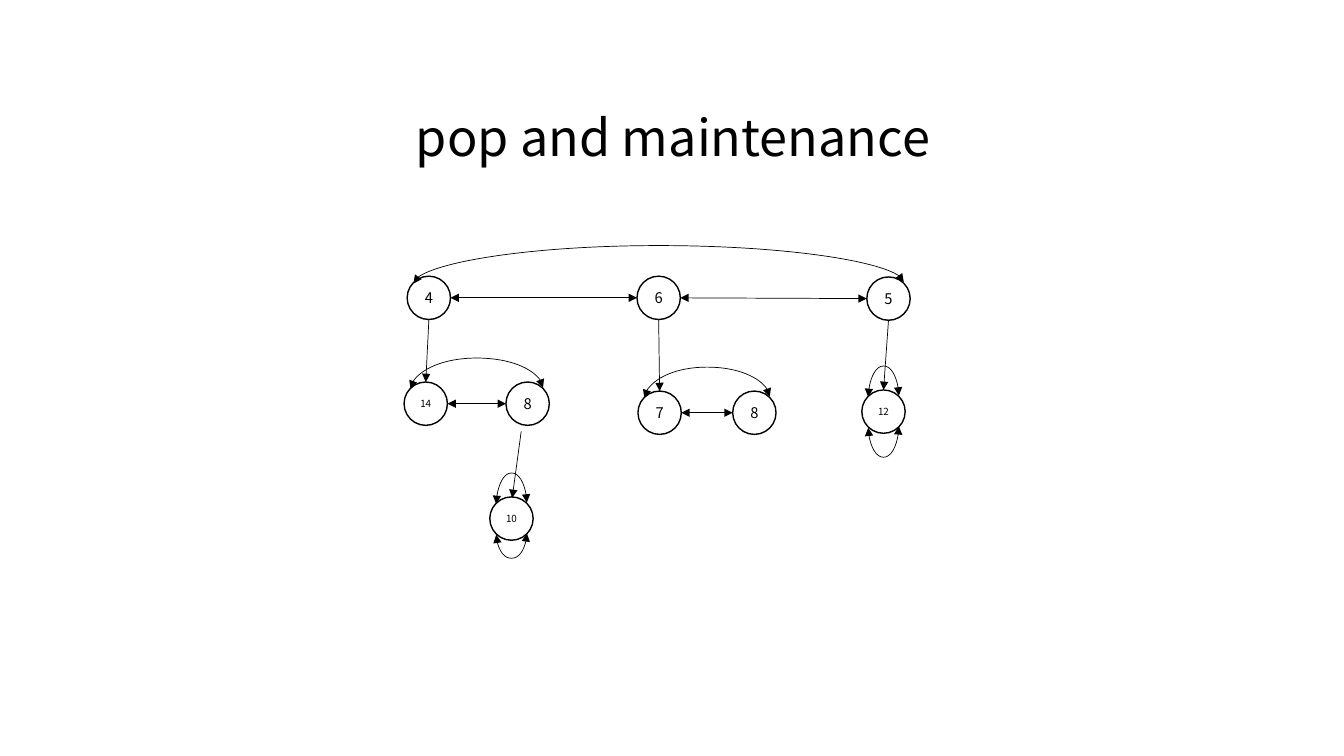
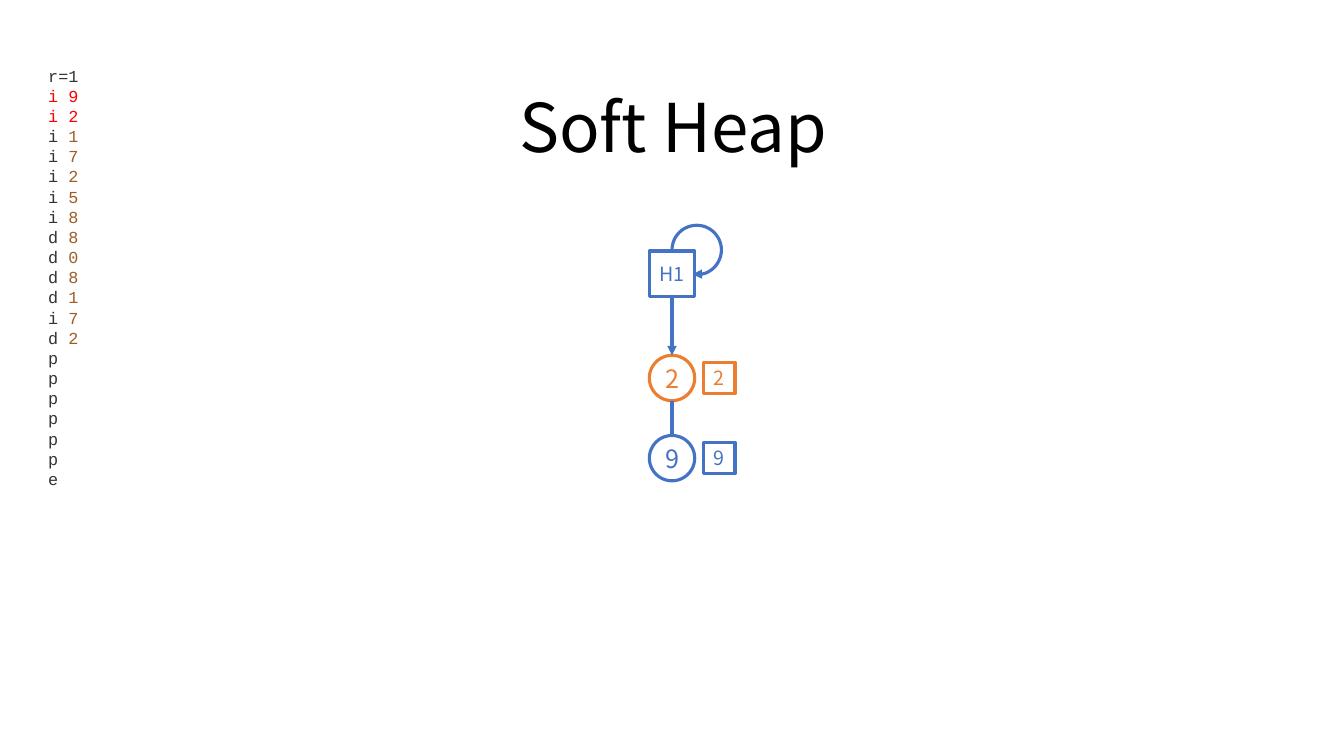
import math

from lxml import etree
from pptx import Presentation, util as u
from pptx.dml.color import RGBColor
from pptx.enum import shapes, text
from pptx.oxml.ns import qn

BLACK = RGBColor(0x00, 0x00, 0x00)
WHITE = RGBColor(0xFF, 0xFF, 0xFF)
BLUE = RGBColor(0x44, 0x72, 0xC4)
ORANGE = RGBColor(0xED, 0x7D, 0x31)
RED = RGBColor(0xFF, 0x00, 0x00)
GREY = RGBColor(0x33, 0x33, 0x33)
BROWN = RGBColor(0x9C, 0x5D, 0x27)
SANS, MONO = "Noto Sans CJK SC", "Courier New"
ROUND, SQUARE = shapes.MSO_SHAPE.OVAL, shapes.MSO_SHAPE.RECTANGLE
NODE = shapes.MSO_SHAPE.FLOWCHART_CONNECTOR
STRAIGHT, CURVE = shapes.MSO_CONNECTOR.STRAIGHT, shapes.MSO_CONNECTOR.CURVE

presentation = Presentation()
presentation.slide_width, presentation.slide_height = u.Inches(13.33), u.Inches(7.5)
# One percent of the slide's width and height
COLUMN = presentation.slide_width / 100
ROW = presentation.slide_height / 100


def add_box(slide, kind, center, size, label, points, colour, line_width, fill=None):
    """Draw an outlined, labelled shape around a center point."""
    side = u.Inches(size)
    shape = slide.shapes.add_shape(
        kind, int(center[0] - side / 2), int(center[1] - side / 2), side, side)
    shape.shadow.inherit = False
    if fill is None:
        shape.fill.background()
    else:
        shape.fill.solid()
        shape.fill.fore_color.rgb = fill
    shape.line.color.rgb = colour
    shape.line.width = u.Pt(line_width)
    frame = shape.text_frame
    frame.margin_left = frame.margin_right = frame.margin_top = frame.margin_bottom = 0
    frame.word_wrap = False
    frame.vertical_anchor = text.MSO_ANCHOR.MIDDLE
    paragraph = frame.paragraphs[0]
    paragraph.text = label
    paragraph.alignment = text.PP_ALIGN.CENTER
    paragraph.font.name, paragraph.font.size = SANS, u.Pt(points)
    paragraph.font.color.rgb = colour
    return shape


def add_line(slide, kind, begin, end, colour, line_width, arrows=("tailEnd",)):
    """Draw a connector between two points, with the named arrowheads."""
    connector = slide.shapes.add_connector(kind, *(int(v) for v in (*begin, *end)))
    connector.line.color.rgb = colour
    connector.line.width = u.Pt(line_width)
    for arrow in arrows:
        etree.SubElement(connector.line._get_or_add_ln(), qn("a:" + arrow), type="triangle")
    etree.SubElement(connector._element.spPr, qn("a:effectLst"))
    return connector


# Slides and their titles
slides = []
for title_text, title_size in (("pop and maintenance", 36), ("Soft Heap", 48)):
    slide = presentation.slides.add_slide(presentation.slide_layouts[5])
    title = slide.shapes.title
    title.left, title.top = u.Inches(3.69), u.Inches(0.72)
    title.width, title.height = u.Inches(5.97), u.Inches(0.99)
    title.text_frame.word_wrap = True
    title.text_frame.auto_size = text.MSO_AUTO_SIZE.NONE
    title.text_frame.vertical_anchor = text.MSO_ANCHOR.BOTTOM
    paragraph = title.text_frame.paragraphs[0]
    paragraph.text = title_text
    paragraph.alignment = text.PP_ALIGN.CENTER
    paragraph.line_spacing = 0.9
    paragraph.font.name, paragraph.font.size = SANS, u.Pt(title_size)
    paragraph.font.color.rgb = BLACK
    slides.append(slide)
pop_slide, heap_slide = slides

# Heap nodes: name, label, column, row
NODE_SIZE = 0.43
centers, nodes = {}, {}
for name, label, column, row in (
    ("root 4", "4", 31.91, 39.4),
    ("root 6", "6", 49.01, 39.4),
    ("root 5", "5", 66.11, 39.5),
    ("child 14", "14", 31.68, 53.4),
    ("child 8", "8", 39.26, 53.4),
    ("child 7", "7", 49.08, 54.6),
    ("sibling 8", "8", 56.13, 54.6),
    ("child 12", "12", 65.74, 54.45),
    ("child 10", "10", 38.06, 68.6),
):
    centers[name] = (column * COLUMN, row * ROW)
    nodes[name] = add_box(pop_slide, NODE, centers[name], NODE_SIZE, label,
                          10.5 if len(label) == 1 else 7, BLACK, 1, WHITE)

# Links between nodes; sites run anticlockwise from the top in steps of 45 degrees
TOP, TOP_LEFT, LEFT, BOTTOM_LEFT, BOTTOM, BOTTOM_RIGHT, RIGHT, TOP_RIGHT = range(8)
SIBLINGS, PARENT = (RIGHT, LEFT), (BOTTOM, TOP)
OVER, UNDER = (TOP_LEFT, TOP_RIGHT), (BOTTOM_RIGHT, BOTTOM_LEFT)
CURVE_WIDTH = u.Pt(1)
for begin_name, end_name, sites, bulge in (
    ("root 4", "root 6", SIBLINGS, 0),
    ("root 6", "root 5", SIBLINGS, 0),
    ("child 14", "child 8", SIBLINGS, 0),
    ("child 7", "sibling 8", SIBLINGS, 0),
    ("root 4", "child 14", PARENT, 0),
    ("root 6", "child 7", PARENT, 0),
    ("root 5", "child 12", PARENT, 0),
    ("root 4", "root 5", OVER, 0.38),
    ("child 14", "child 8", OVER, 0.31),
    ("child 7", "sibling 8", OVER, 0.31),
    ("child 12", "child 12", OVER, 0.31),
    ("child 12", "child 12", UNDER, 0.31),
    ("child 10", "child 10", OVER, 0.31),
    ("child 10", "child 10", UNDER, 0.25),
):
    ends = []
    for name, site in zip((begin_name, end_name), sites):
        angle = math.radians(-90 - 45 * site)
        radius = u.Inches(NODE_SIZE / 2)
        ends.append((centers[name][0] + radius * math.cos(angle),
                     centers[name][1] + radius * math.sin(angle)))
    begin, end = ends
    arrows = ("tailEnd",) if sites == PARENT else ("headEnd", "tailEnd")
    connector = add_line(pop_slide, CURVE if bulge else STRAIGHT, begin, end, BLACK, 0.5, arrows)
    glue = connector._element.nvCxnSpPr.cNvCxnSpPr
    for tag, name, site in zip(("stCxn", "endCxn"), (begin_name, end_name), sites):
        etree.SubElement(glue, qn("a:" + tag), id=str(nodes[name].shape_id), idx=str(site))
    if bulge:
        # A curve is a thin upright connector turned by 90 degrees
        span = abs(end[0] - begin[0])
        connector.left = int((begin[0] + end[0] - CURVE_WIDTH) / 2)
        connector.top = int((begin[1] + end[1] - span) / 2)
        connector.width, connector.height = CURVE_WIDTH, int(span)
        flip = "1" if sites == OVER else "0"
        frame = connector._element.spPr.find(qn("a:xfrm"))
        for key, value in (("rot", "5400000"), ("flipH", flip), ("flipV", flip)):
            frame.set(key, value)
        adjustments = next(connector._element.iter(qn("a:avLst")))
        share = round(u.Inches(bulge) / CURVE_WIDTH * 100000)
        etree.SubElement(adjustments, qn("a:gd"), name="adj1", fmla=f"val {share}")

# The arrow to node 10 starts just below node 8
add_line(pop_slide, STRAIGHT, (38.78 * COLUMN, 57.07 * ROW), (38.11 * COLUMN, 65.87 * ROW),
         BLACK, 0.5)

# Heap chain: shapes in the middle column, key boxes beside the circles
MIDDLE, KEYS = 50 * COLUMN, 53.53 * COLUMN
HEAD_ROW, FIRST_ROW, SECOND_ROW = 36.2 * ROW, 50 * ROW, 60.6 * ROW
CHAIN_SIZE = 0.45
half = u.Inches(CHAIN_SIZE / 2)
add_box(heap_slide, SQUARE, (MIDDLE, HEAD_ROW), CHAIN_SIZE, "H1", 14, BLUE, 2.25)
for row, key, colour in ((FIRST_ROW, "2", ORANGE), (SECOND_ROW, "9", BLUE)):
    add_box(heap_slide, ROUND, (MIDDLE, row), CHAIN_SIZE, key, 18, colour, 2.25)
    add_box(heap_slide, SQUARE, (KEYS, row), 0.31, key, 14, colour, 2.25)
for upper, lower, arrows in ((HEAD_ROW, FIRST_ROW, ("tailEnd",)), (FIRST_ROW, SECOND_ROW, ())):
    add_line(heap_slide, STRAIGHT, (MIDDLE, upper + half), (MIDDLE, lower - half),
             BLUE, 2.25, arrows)

# Loop from the head back to itself
loop = heap_slide.shapes.add_shape(shapes.MSO_SHAPE.ARC, int(MIDDLE), int(HEAD_ROW - 2 * half - u.Inches(0.03)),
                                   u.Inches(0.49), u.Inches(0.49))
loop.shadow.inherit = False
loop.fill.background()
loop.line.color.rgb = BLUE
loop.line.width = u.Pt(2.25)
loop.adjustments[0], loop.adjustments[1] = 107.31, 59.67
etree.SubElement(loop.line._get_or_add_ln(), qn("a:tailEnd"), type="triangle")

# Operation list; the operations done so far are red
OPERATIONS = ("r=1", "i 9", "i 2", "i 1", "i 7", "i 2", "i 5", "i 8", "d 8", "d 0", "d 8",
              "d 1", "i 7", "d 2", "p", "p", "p", "p", "p", "p", "e")
DONE = (1, 2)
listing = heap_slide.shapes.add_textbox(u.Inches(0.38), u.Inches(0.6), u.Inches(1.21), u.Inches(4.34))
listing.text_frame.word_wrap = True
for index, operation in enumerate(OPERATIONS):
    paragraph = listing.text_frame.paragraphs[0] if index == 0 else listing.text_frame.add_paragraph()
    paragraph.font.name, paragraph.font.size = MONO, u.Pt(12)
    command, space, number = operation.partition(" ")
    for part, colour in ((command + space, GREY), (number, BROWN)):
        if part:
            run = paragraph.add_run()
            run.text = part
            run.font.color.rgb = RED if index in DONE else colour

presentation.save("out.pptx")
